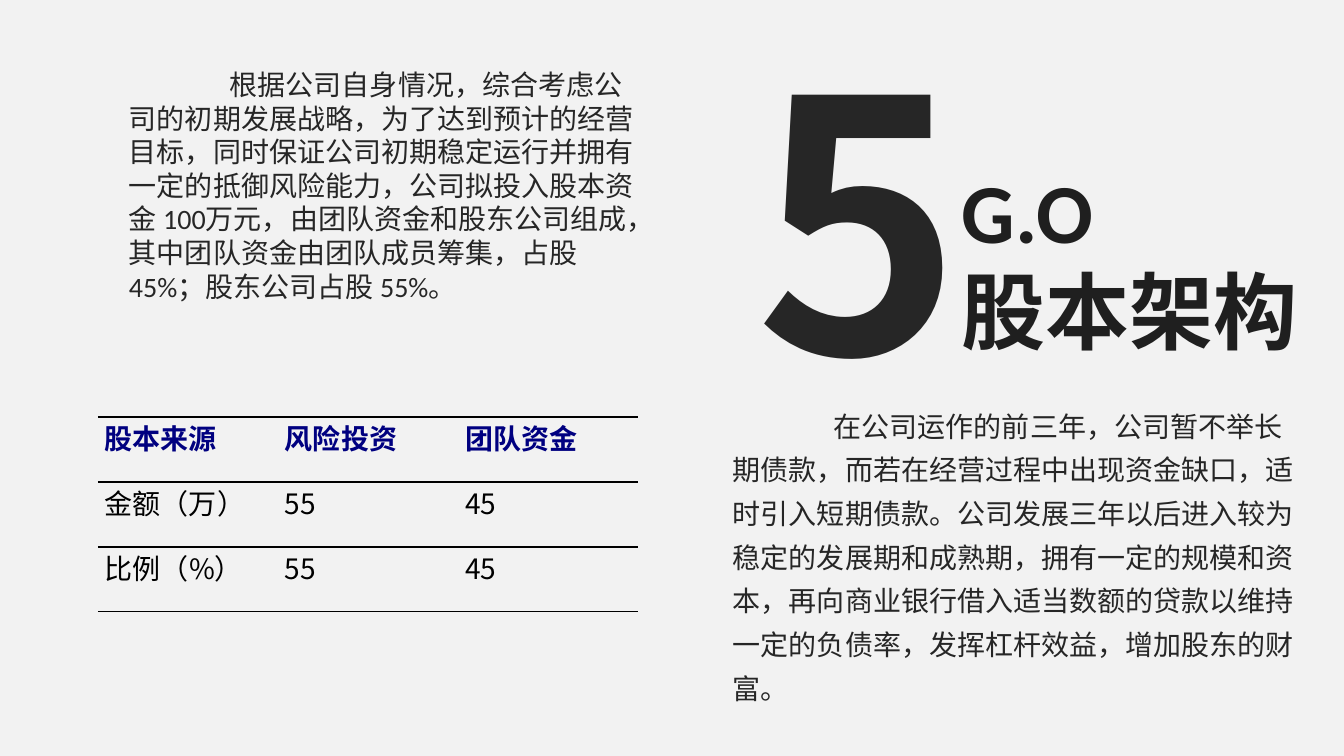
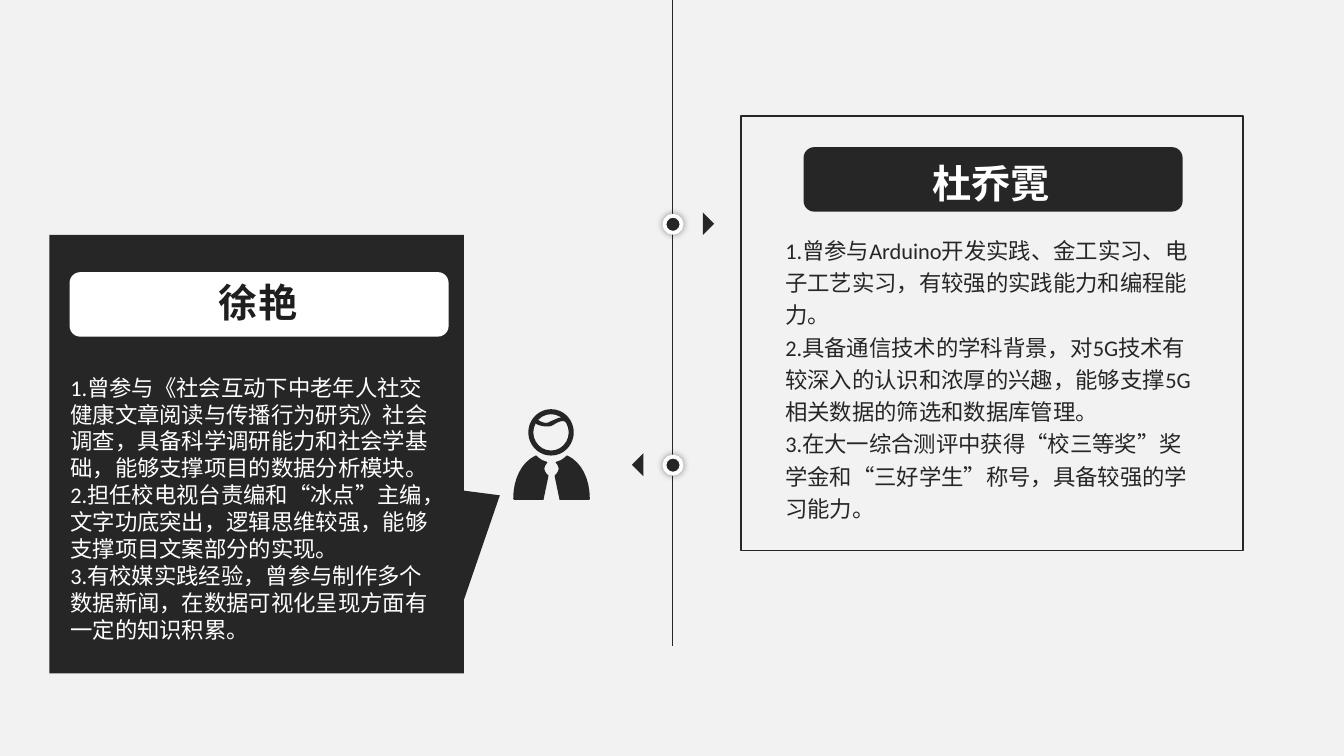
from lxml import etree
from pptx import Presentation
from pptx import util as u
from pptx.dml.color import RGBColor
from pptx.enum import shapes, text
from pptx.oxml import ns

DARK, TITLE, LIGHT, WHITE = "262626", "1F1F1F", "F2F2F2", "FFFFFF"
NAVY, BLACK = "000080", "000000"
LATIN, CJK = "Calibri", "Noto Sans CJK SC"
PLAIN_TABLE = "{2D5ABB26-0587-4C30-8999-92F81FD0307C}"
MID_X = 6.67    # timeline axis
ICON_X = 5.47   # symmetry axis of the person icon
Preset = shapes.MSO_SHAPE


def rgb(value):
    return RGBColor.from_string(value)


def child(parent, tag, **attributes):
    return etree.SubElement(parent, ns.qn(tag), attributes)


def box(*lengths):
    return [u.Inches(length) for length in lengths]


# Text
def write(frame, content, size=20, color=DARK, bold=False, font=LATIN,
          align=None, spacing=None, tab=None):
    for i, line in enumerate(content.split("\n")):
        paragraph = frame.paragraphs[0] if i == 0 else frame.add_paragraph()
        paragraph.alignment = align
        paragraph.line_spacing = spacing
        if tab:
            stops = child(paragraph._p.get_or_add_pPr(), "a:tabLst")
            child(stops, "a:tab", pos=str(u.Inches(tab)), algn="l")
        run = paragraph.add_run()
        run.text = line
        run.font.size = u.Pt(size)
        run.font.bold = bold
        run.font.name = font
        run.font.color.rgb = rgb(color)
        child(run.font._element, "a:ea", typeface=CJK)


def add_text(slide, at, content, **style):
    frame = slide.shapes.add_textbox(*box(*at)).text_frame
    frame.word_wrap = True
    frame.auto_size = text.MSO_AUTO_SIZE.SHAPE_TO_FIT_TEXT
    write(frame, content, **style)


# Shapes
def paint(shape, fill=DARK, line=None, width=1):
    shape.shadow.inherit = False
    if fill:
        shape.fill.solid()
        shape.fill.fore_color.rgb = rgb(fill)
    else:
        shape.fill.background()
    if line:
        shape.line.color.rgb = rgb(line)
        shape.line.width = u.Pt(width)
    else:
        shape.line.fill.background()
    return shape


def add_shape(slide, preset, at, **style):
    return paint(slide.shapes.add_shape(preset, *box(*at)), **style)


def add_axis(slide, x, top, bottom):
    axis = slide.shapes.add_connector(shapes.MSO_CONNECTOR.STRAIGHT, *box(x, top, x, bottom))
    axis.line.color.rgb = rgb(DARK)
    axis.line.width = u.Pt(0.5)
    child(axis._element.spPr, "a:effectLst")


def add_marker(slide, y, points_right):
    """Ringed dot on the axis with an arrow tip beside it."""
    dot = add_shape(slide, Preset.OVAL, (MID_X - 0.08, y - 0.08, 0.17, 0.17),
                    line=WHITE, width=2.75)
    effects = dot._element.spPr.find(ns.qn("a:effectLst"))
    glow = child(effects, "a:outerShdw", blurRad=str(u.Pt(5)), dist="0", dir="0",
                 algn="ctr", rotWithShape="0")
    child(child(glow, "a:srgbClr", val=BLACK), "a:alpha", val="40000")
    left = MID_X + 0.22 if points_right else MID_X - 0.37
    tip = add_shape(slide, Preset.RIGHT_TRIANGLE, (left, y - 0.08, 0.16, 0.16))
    tip.rotation = 225 if points_right else 45


# Person icon
def trace(start, segments, steps=8):
    """Points along segments: (x, y) is a line, six numbers are a cubic curve."""
    points = [start]
    for segment in segments:
        if len(segment) == 2:
            points.append(segment)
            continue
        x0, y0 = points[-1]
        x1, y1, x2, y2, x3, y3 = segment
        for t in (step / steps for step in range(1, steps + 1)):
            a, b, c, d = (1 - t) ** 3, 3 * t * (1 - t) ** 2, 3 * t * t * (1 - t), t ** 3
            points.append((a * x0 + b * x1 + c * x2 + d * x3,
                           a * y0 + b * y1 + c * y2 + d * y3))
    return points


def add_outline(slide, points):
    start, *rest = [box(*point) for point in points]
    builder = slide.shapes.build_freeform(*start)
    builder.add_line_segments(rest, close=True)
    paint(builder.convert_to_shape())


def add_person(slide):
    shoulder = trace((5.4, 4.65), [
        (5.4, 4.63, 5.41, 4.61, 5.43, 4.59), (5.42, 4.58),
        (5.38, 4.57, 5.35, 4.55, 5.32, 4.52), (5.31, 4.52),
        (5.17, 4.59, 5.09, 4.75, 5.09, 4.95), (5.1, 4.96), (5.39, 4.96), (5.44, 4.72),
        (5.41, 4.69, 5.4, 4.67, 5.4, 4.65)])
    add_outline(slide, shoulder)
    add_outline(slide, [(2 * ICON_X - x, y) for x, y in shoulder])
    head = add_shape(slide, Preset.DONUT, (5.24, 4.06, 0.45, 0.46))
    head.adjustments[0] = 0.11
    add_outline(slide, trace((5.33, 4.16), [
        (5.37, 4.19, 5.42, 4.21, 5.46, 4.18), (5.51, 4.16, 5.54, 4.14, 5.58, 4.14),
        (5.62, 4.19), (5.58, 4.17, 5.56, 4.17, 5.48, 4.22),
        (5.46, 4.23, 5.44, 4.23, 5.42, 4.23), (5.38, 4.23, 5.34, 4.22, 5.31, 4.2)]))


# Table
def add_border(cell, tag, width):
    line = child(cell._tc.get_or_add_tcPr(), tag, w=str(u.Pt(width)))
    child(child(line, "a:solidFill"), "a:srgbClr", val=BLACK)


def add_funding_table(slide, at, rows, rules):
    """Plain table; rules are the widths of the horizontal lines, top to bottom."""
    table = slide.shapes.add_table(len(rows), len(rows[0]), *box(*at)).table
    table._tbl.tblPr.find(ns.qn("a:tableStyleId")).text = PLAIN_TABLE
    for r, row in enumerate(rows):
        for c, value in enumerate(row):
            cell = table.cell(r, c)
            cell.margin_left = cell.margin_right = u.Inches(0.07)
            cell.margin_top = cell.margin_bottom = 0
            add_border(cell, "a:lnT", rules[r])
            add_border(cell, "a:lnB", rules[r + 1])
            cell.fill.background()
            write(cell.text_frame, value, font=CJK, bold=r == 0,
                  color=NAVY if r == 0 else BLACK)


# Slides
def build_equity(slide):
    add_text(slide, (7.17, 3.91, 5.79, 3.16),
             "\t在公司运作的前三年，公司暂不举长期债款，而若在经营过程中出现资金缺口，"
             "适时引入短期债款。公司发展三年以后进入较为稳定的发展期和成熟期，"
             "拥有一定的规模和资本，再向商业银行借入适当数额的贷款以维持一定的负债率，"
             "发挥杠杆效益，增加股东的财富。", spacing=1.3, tab=1)
    add_text(slide, (9.44, 1.53, 3.77, 2.12), "G.O\n股本架构", size=60, color=TITLE, bold=True)
    add_text(slide, (1.18, 0.62, 5.28, 2.79),
             "\t根据公司自身情况，综合考虑公司的初期发展战略，为了达到预计的经营目标，"
             "同时保证公司初期稳定运行并拥有一定的抵御风险能力，公司拟投入股本资金 100万元，"
             "由团队资金和股东公司组成，其中团队资金由团队成员筹集，"
             "占股 45%；股东公司占股 55%。", tab=1)
    add_funding_table(slide, (0.97, 4.14, 5.36, 1.93),
                      [("股本来源", "风险投资", "团队资金"),
                       ("金额（万）", "55", "45"),
                       ("比例（%）", "55", "45")],
                      rules=(1.5, 1.5, 1, 1))
    add_text(slide, (7.39, 0, 2.51, 4.31), "5", size=250, bold=True, font=CJK)


def build_team(slide):
    # Timeline
    add_axis(slide, MID_X, 0, 6.41)
    add_marker(slide, 4.61, points_right=False)
    add_marker(slide, 2.22, points_right=True)
    add_person(slide)

    # Right member
    add_text(slide, (7.69, 2.25, 4.31, 3),
             "1.曾参与Arduino开发实践、金工实习、电子工艺实习，有较强的实践能力和编程能力。\n"
             "2.具备通信技术的学科背景，对5G技术有较深入的认识和浓厚的兴趣，"
             "能够支撑5G相关数据的筛选和数据库管理。\n"
             "3.在大一综合测评中获得“校三等奖”奖学金和“三好学生”称号，具备较强的学习能力。",
             size=16, spacing=1.2)
    add_shape(slide, Preset.RECTANGLE, (7.35, 1.15, 4.98, 4.31), fill=None, line=DARK)
    add_shape(slide, Preset.ROUNDED_RECTANGLE, (7.97, 1.46, 3.76, 0.64))
    add_text(slide, (9.15, 1.53, 1.4, 0.57), "杜乔霓", size=28, color=WHITE, bold=True)

    # Left member
    callout = add_shape(slide, Preset.RECTANGULAR_CALLOUT, (0.49, 2.33, 4.11, 4.35))
    callout.adjustments[0], callout.adjustments[1] = 0.587, 0.094
    add_shape(slide, Preset.ROUNDED_RECTANGLE, (0.69, 2.7, 3.76, 0.64), fill=WHITE)
    add_text(slide, (1.59, 2.71, 1.94, 0.57), "徐艳", size=28, color=TITLE, bold=True,
             align=text.PP_ALIGN.CENTER)
    add_text(slide, (0.6, 3.66, 3.84, 2.79),
             "1.曾参与《社会互动下中老年人社交健康文章阅读与传播行为研究》社会调查，"
             "具备科学调研能力和社会学基础，能够支撑项目的数据分析模块。\n"
             "2.担任校电视台责编和“冰点”主编，文字功底突出，逻辑思维较强，"
             "能够支撑项目文案部分的实现。\n"
             "3.有校媒实践经验，曾参与制作多个数据新闻，在数据可视化呈现方面有一定的知识积累。",
             size=16, color=WHITE)


def main():
    deck = Presentation()
    deck.slide_width, deck.slide_height = box(13.33, 7.5)
    backdrop = deck.slide_master.background.fill
    backdrop.solid()
    backdrop.fore_color.rgb = rgb(LIGHT)
    for build in (build_equity, build_team):
        build(deck.slides.add_slide(deck.slide_layouts[6]))
    deck.save("out.pptx")


if __name__ == "__main__":
    main()
